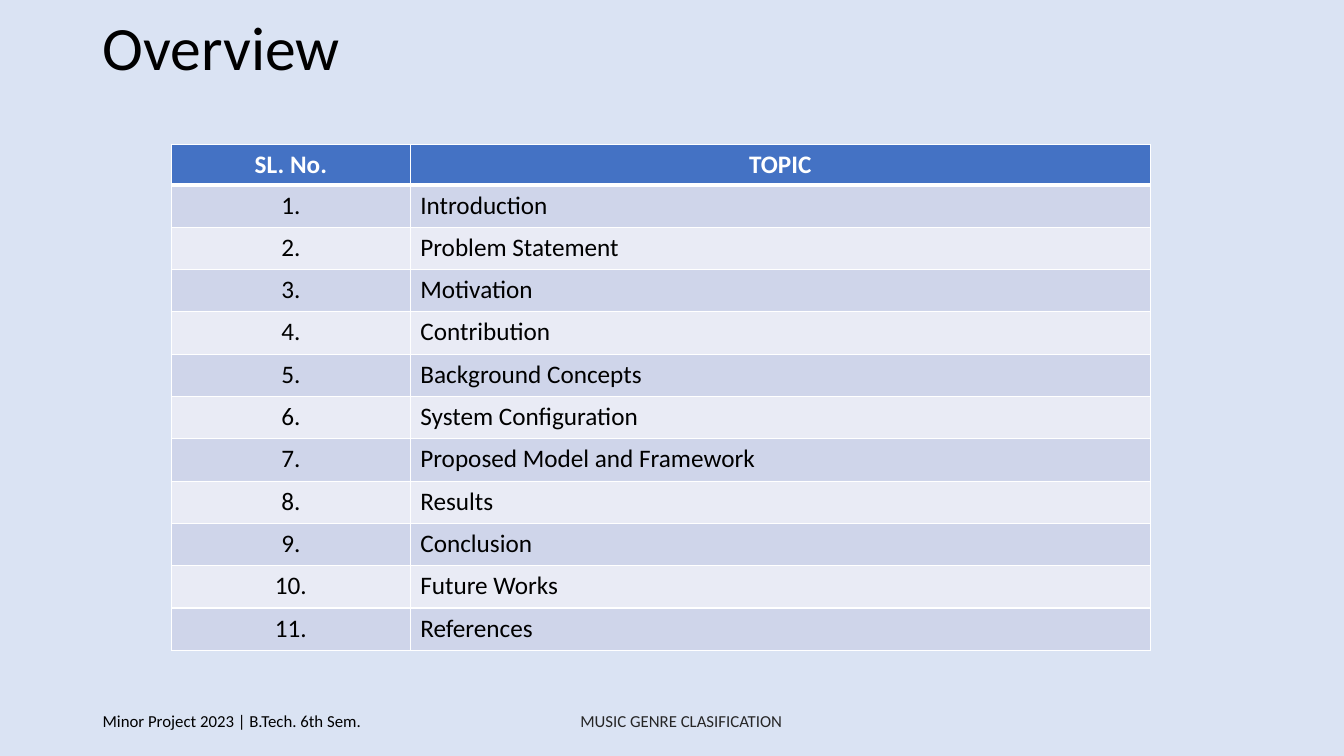
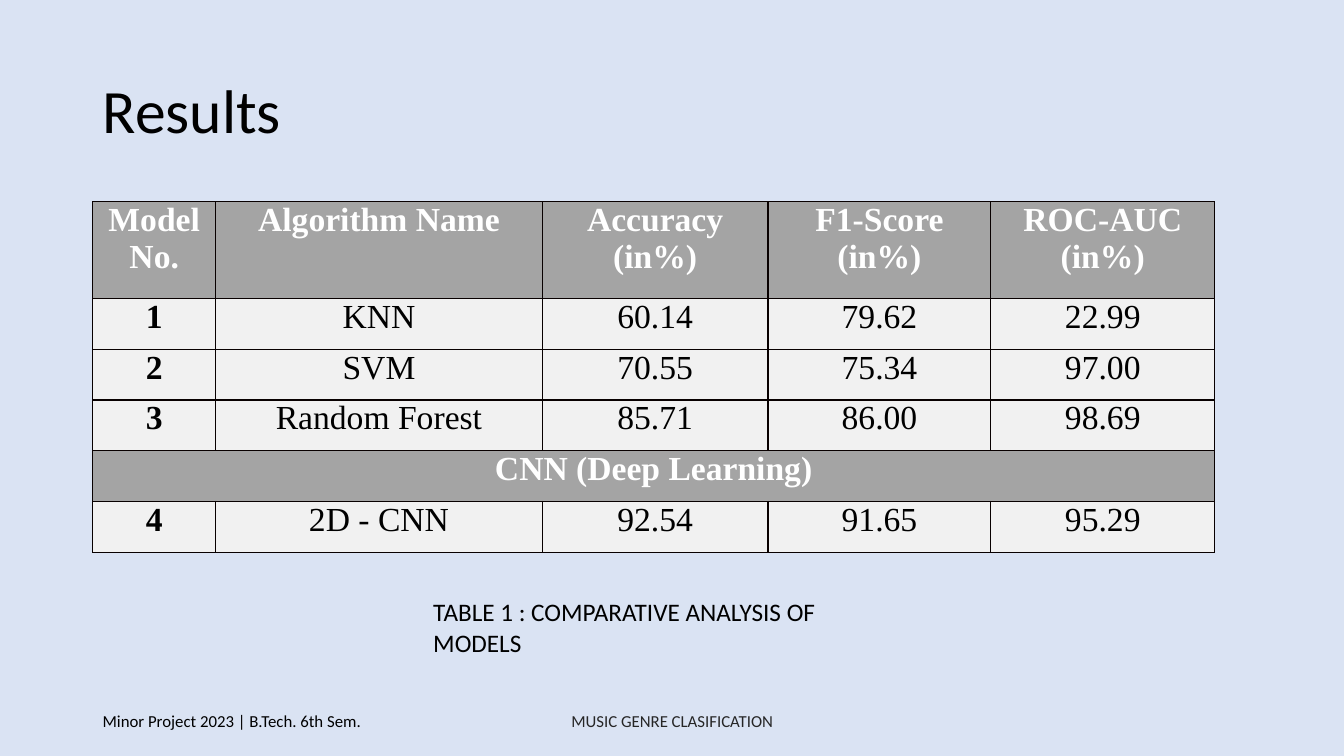
from dataclasses import dataclass, field
from typing import Any

from lxml.etree import SubElement
from pptx import Presentation
from pptx.dml.color import RGBColor
from pptx.enum.text import MSO_ANCHOR, PP_ALIGN
from pptx.oxml.ns import qn
from pptx.util import Inches, Pt

SLIDE_WIDTH, SLIDE_HEIGHT = Inches(13.33), Inches(7.5)


@dataclass(frozen=True)
class Theme:
    background: str = "DAE3F3"
    ink: str = "000000"
    muted: str = "262626"
    white: str = "FFFFFF"
    topic_header: str = "4472C4"
    topic_bands: tuple[str, str] = ("CFD5EA", "E9EBF5")
    score_header: str = "A4A4A4"
    score_body: str = "F1F1F1"
    score_rule: str = "080000"
    sans: str = "Calibri"
    serif: str = "Times New Roman"
    title_size: int = 44
    score_size: int = 24
    body_size: int = 18
    footer_size: int = 12


THEME = Theme()


@dataclass(frozen=True)
class Area:
    """Place on the slide, in percent of its width and height."""
    left: float
    top: float
    width: float
    height: float

    def lengths(self) -> tuple[int, int, int, int]:
        return (across(self.left), down(self.top),
                across(self.width), down(self.height))


@dataclass(frozen=True)
class TextStyle:
    size: int
    color: str = THEME.ink
    font: str = THEME.sans
    bold: bool = False
    align: PP_ALIGN = PP_ALIGN.LEFT
    spacing: float = 1.0


@dataclass(frozen=True)
class CellLook:
    fill: str
    text: TextStyle
    rules: dict[str, float]
    rule_color: str
    margins: dict[str, int] = field(default_factory=dict)


@dataclass(frozen=True)
class Grid:
    """Table place, column widths and row heights, in percent."""
    left: float
    top: float
    columns: tuple[float, ...]
    header: float
    row: float


def across(share: float) -> int:
    return int(SLIDE_WIDTH * share / 100)


def down(share: float) -> int:
    return int(SLIDE_HEIGHT * share / 100)


def apply(target: Any, values: dict[str, Any]) -> None:
    for name, value in values.items():
        setattr(target, name, value)


def write(frame: Any, text: str, style: TextStyle) -> None:
    frame.text = text
    for paragraph in frame.paragraphs:
        apply(paragraph, {"alignment": style.align, "line_spacing": style.spacing})
        apply(paragraph.font, {"name": style.font, "size": Pt(style.size),
                               "bold": style.bold})
        paragraph.font.color.rgb = RGBColor.from_string(style.color)


def add_text(slide: Any, area: Area, text: str, style: TextStyle,
             anchor: MSO_ANCHOR = MSO_ANCHOR.MIDDLE) -> None:
    frame = slide.shapes.add_textbox(*area.lengths()).text_frame
    apply(frame, {"word_wrap": True, "vertical_anchor": anchor})
    write(frame, text, style)


# Shared slide parts
MARGIN = 6.9
FOOTER_TOP, FOOTER_HEIGHT = 92.67, 5.33
TITLE = TextStyle(THEME.title_size, spacing=0.9)
FOOTER = TextStyle(THEME.footer_size)
SUBJECT = TextStyle(THEME.footer_size, THEME.muted, align=PP_ALIGN.CENTER)


def add_page(deck: Any, title: str, title_top: float, title_height: float,
             subject_width: float) -> Any:
    slide = deck.slides.add_slide(deck.slide_layouts[6])
    add_text(slide, Area(MARGIN, title_top, 86.25, title_height), title, TITLE)
    add_text(slide, Area(MARGIN, FOOTER_TOP, 22.5, FOOTER_HEIGHT),
             "Minor Project 2023 | B.Tech. 6th Sem.", FOOTER)
    add_text(slide, Area(33.15, FOOTER_TOP, subject_width, FOOTER_HEIGHT),
             "MUSIC GENRE CLASIFICATION", SUBJECT)
    return slide


# Tables
def rules(top: float = 1, bottom: float = 1) -> dict[str, float]:
    return {"lnL": 1, "lnR": 1, "lnT": top, "lnB": bottom}


def dress(cell: Any, text: str, look: CellLook) -> None:
    properties = cell._tc.get_or_add_tcPr()
    for edge, points in look.rules.items():
        line = SubElement(properties, qn(f"a:{edge}"), w=str(Pt(points)))
        fill = SubElement(line, qn("a:solidFill"))
        SubElement(fill, qn("a:srgbClr"), val=look.rule_color)
    cell.fill.solid()
    cell.fill.fore_color.rgb = RGBColor.from_string(look.fill)
    apply(cell, look.margins)
    write(cell.text_frame, text, look.text)


def add_grid(slide: Any, grid: Grid, row_count: int) -> Any:
    heights = [grid.header] + [grid.row] * (row_count - 1)
    area = Area(grid.left, grid.top, sum(grid.columns), sum(heights))
    table = slide.shapes.add_table(row_count, len(grid.columns), *area.lengths()).table
    apply(table, {"first_row": False, "horz_banding": False})
    for column, width in zip(table.columns, grid.columns):
        column.width = across(width)
    for row, height in zip(table.rows, heights):
        row.height = down(height)
    return table


# Overview slide
TOPICS = ("Introduction", "Problem Statement", "Motivation", "Contribution",
          "Background Concepts", "System Configuration",
          "Proposed Model and Framework", "Results", "Conclusion",
          "Future Works", "References")
TOPIC_GRID = Grid(12.75, 19.07, (17.78, 55.05), header=5.4, row=5.6)


def topic_look(row: int, column: int) -> CellLook:
    if row == 0:
        heading = TextStyle(THEME.body_size, THEME.white, bold=True,
                            align=PP_ALIGN.CENTER)
        return CellLook(THEME.topic_header, heading, rules(bottom=3), THEME.white)
    align = PP_ALIGN.LEFT if column else PP_ALIGN.CENTER
    return CellLook(THEME.topic_bands[(row - 1) % 2],
                    TextStyle(THEME.body_size, align=align),
                    rules(top=3 if row == 1 else 1), THEME.white)


def add_overview(deck: Any) -> None:
    slide = add_page(deck, "Overview", 0, 13.33, 35.1)
    rows = [("SL. No.", "TOPIC")]
    rows += [(f"{number}.", topic) for number, topic in enumerate(TOPICS, 1)]
    table = add_grid(slide, TOPIC_GRID, len(rows))
    for r, row in enumerate(rows):
        for c, text in enumerate(row):
            dress(table.cell(r, c), text, topic_look(r, c))


# Results slide
SCORES = (
    ("Model\nNo.", "Algorithm Name", "Accuracy\n(in%)", "F1-Score\n(in%)",
     "ROC-AUC (in%)"),
    ("1", "KNN", "60.14", "79.62", "22.99"),
    ("2", "SVM", "70.55", "75.34", "97.00"),
    ("3", "Random Forest", "85.71", "86.00", "98.69"),
    ("CNN (Deep Learning)", "", "", "", ""),
    ("4", "2D - CNN", "92.54", "91.65", "95.29"),
)
SECTION_ROW = 4
SCORE_GRID = Grid(MARGIN, 26.67, (9.15, 24.3, 16.8, 16.58, 16.65),
                  header=12.8, row=6.72)
NO_MARGINS = {f"margin_{side}": 0 for side in ("left", "right", "top", "bottom")}


def score_look(row: int, column: int) -> CellLook:
    heading = row in (0, SECTION_ROW)
    style = TextStyle(THEME.score_size, THEME.white if heading else THEME.ink,
                      THEME.serif, heading or column == 0, PP_ALIGN.CENTER)
    return CellLook(THEME.score_header if heading else THEME.score_body,
                    style, rules(), THEME.score_rule, NO_MARGINS)


def add_results(deck: Any) -> None:
    slide = add_page(deck, "Results", 5.33, 19.33, 33.75)
    table = add_grid(slide, SCORE_GRID, len(SCORES))
    for r, row in enumerate(SCORES):
        for c, text in enumerate(row):
            dress(table.cell(r, c), text, score_look(r, c))
    last_column = len(SCORE_GRID.columns) - 1
    table.cell(SECTION_ROW, 0).merge(table.cell(SECTION_ROW, last_column))
    add_text(slide, Area(31.5, 78.27, 35.5, 9.2),
             "TABLE 1 : COMPARATIVE ANALYSIS OF MODELS",
             TextStyle(THEME.body_size), MSO_ANCHOR.TOP)


def main() -> None:
    deck = Presentation()
    apply(deck, {"slide_width": SLIDE_WIDTH, "slide_height": SLIDE_HEIGHT})
    backdrop = deck.slide_master.background.fill
    backdrop.solid()
    backdrop.fore_color.rgb = RGBColor.from_string(THEME.background)
    add_overview(deck)
    add_results(deck)
    deck.save("out.pptx")


if __name__ == "__main__":
    main()
